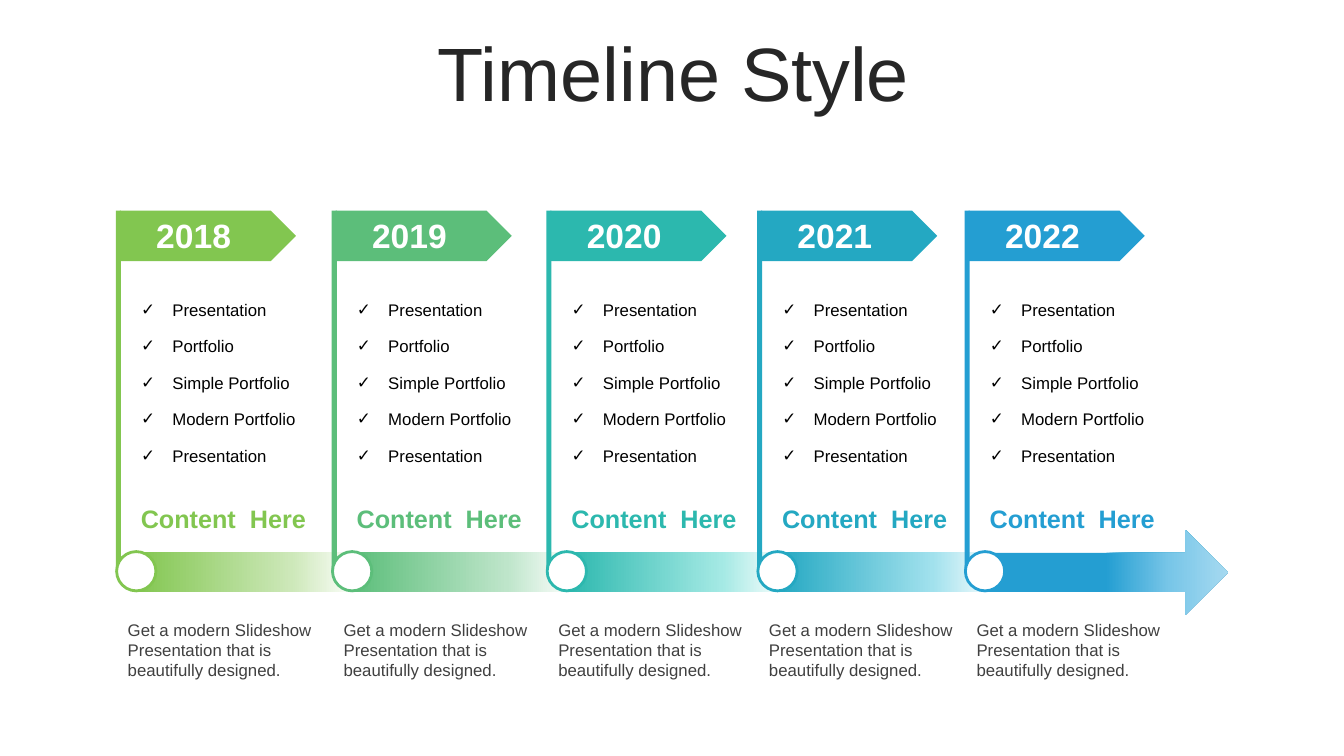
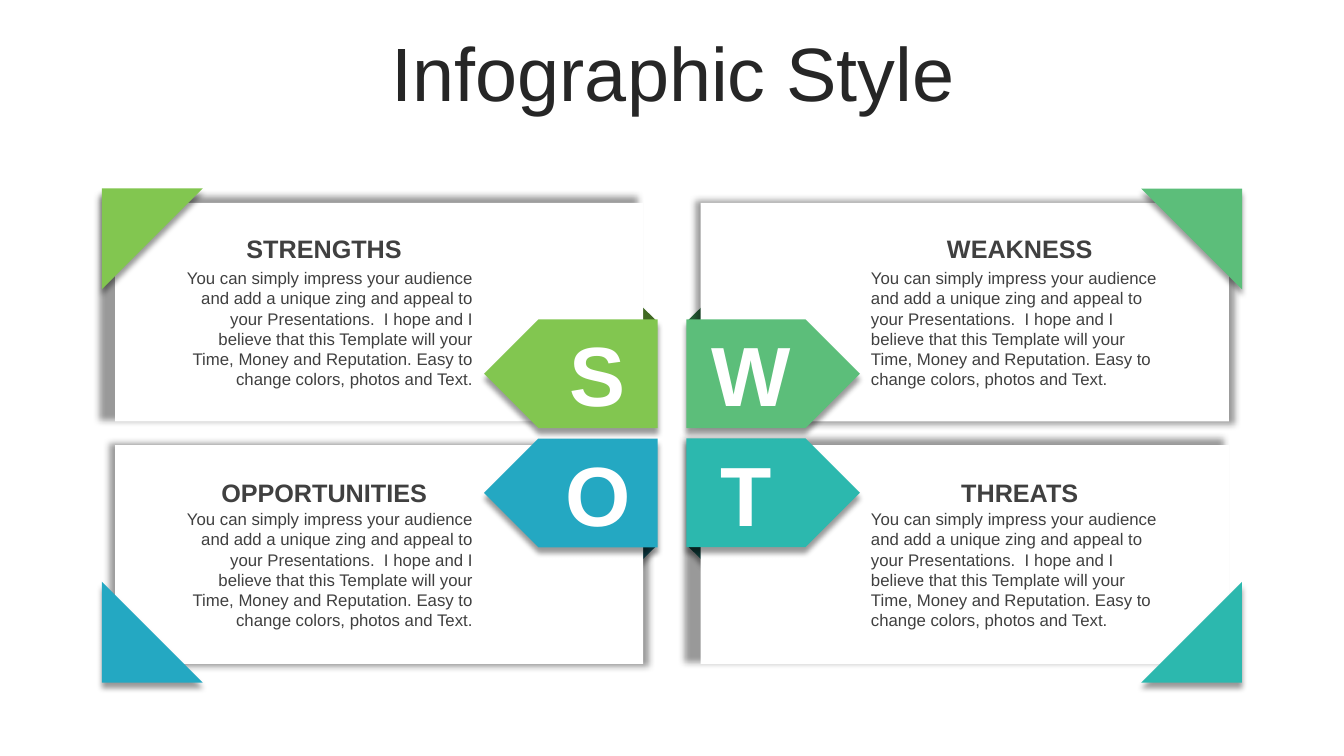
from copy import deepcopy
from dataclasses import dataclass

from lxml import etree
from pptx import Presentation
from pptx.dml.color import RGBColor as Rgb
from pptx.enum.shapes import MSO_SHAPE as Geo
from pptx.enum.text import MSO_ANCHOR as Anchor, MSO_AUTO_SIZE as Fit, PP_ALIGN as Align
from pptx.oxml.ns import qn
from pptx.util import Cm, Pt


# Theme
@dataclass(frozen=True)
class Theme:
    font: str = "Arial"
    lime: str = "82C650"
    green: str = "5CBE7A"
    teal: str = "2CB8AE"
    cyan: str = "24A8C2"
    blue: str = "249ED2"
    white: str = "FFFFFF"
    black: str = "000000"
    ink: str = "262626"
    grey: str = "404040"
    title: int = 54
    letter: int = 60
    year: int = 24
    head: int = 18
    body: int = 12


T = Theme()
WIDTH, HEIGHT = 33.87, 19.05
MID_X, MID_Y = WIDTH / 2, 10.92


# Data
@dataclass(frozen=True)
class Stage:
    year: str
    x: float
    color: str
    stops: tuple[tuple[int, str], ...]


@dataclass(frozen=True)
class Panel:
    letter: str
    head: str
    color: str
    fold: str
    right: bool
    low: bool
    turn: int


STAGES = [
    Stage("2018", 2.92, T.lime, ((0, T.lime), (70, "CDE8B9"), (100, T.white))),
    Stage("2019", 8.36, T.green, ((0, T.green), (70, "BEE5CA"), (100, T.white))),
    Stage("2020", 13.77, T.teal, ((0, T.teal), (70, "A4E9E4"), (100, T.white))),
    Stage("2021", 19.08, T.cyan, ((0, T.cyan), (70, "A1E1ED"), (100, T.white))),
    Stage("2022", 24.31, T.blue,
          ((0, T.blue), (50, T.blue), (76, "78C6E8"), (100, "A5D9F0"))),
]
ITEMS = ["Presentation", "Portfolio", "Simple Portfolio", "Modern Portfolio", "Presentation"]
NOTE = "Get a modern Slideshow Presentation that is beautifully designed."

PANELS = [
    Panel("O", "OPPORTUNITIES", T.cyan, "125461", False, True, 0),
    Panel("T", "THREATS", T.teal, "165C57", True, True, 270),
    Panel("S", "STRENGTHS", T.lime, "406922", False, False, 90),
    Panel("W", "WEAKNESS", T.green, "28653B", True, False, 180),
]
PITCH = ("You can simply impress your audience and add a unique zing and appeal to "
         "your Presentations.  I hope and I believe that this Template will your Time, "
         "Money and Reputation. Easy to change colors, photos and Text.")


# Drawing helpers; all lengths are centimetres
def place(shape, x: float, y: float, w: float, h: float) -> None:
    shape.left, shape.top, shape.width, shape.height = Cm(x), Cm(y), Cm(w), Cm(h)


def paint(shape, color: str) -> None:
    shape.shadow.inherit = False
    shape.fill.solid()
    shape.fill.fore_color.rgb = Rgb.from_string(color)
    shape.line.fill.background()


def draw(slide, geo: Geo, x: float, y: float, w: float, h: float, color: str):
    shape = slide.shapes.add_shape(geo, Cm(x), Cm(y), Cm(w), Cm(h))
    paint(shape, color)
    return shape


def blend(shape, stops: tuple[tuple[int, str], ...]) -> None:
    """Swap the solid fill for a left-to-right gradient."""
    old = shape.element.spPr.find(qn("a:solidFill"))
    grad = etree.Element(qn("a:gradFill"), rotWithShape="1")
    marks = etree.SubElement(grad, qn("a:gsLst"))
    for pos, color in stops:
        mark = etree.SubElement(marks, qn("a:gs"), pos=str(pos * 1000))
        etree.SubElement(mark, qn("a:srgbClr"), val=color)
    etree.SubElement(grad, qn("a:lin"), ang="0", scaled="0")
    old.getparent().replace(old, grad)


def shade(shape, blur: int = 4, dist: int = 4, scale: int = 100) -> None:
    """Cast a soft shadow straight down, or all round when dist is 0."""
    fx = shape.element.spPr.find(qn("a:effectLst"))
    size = str(scale * 1000)
    cast = etree.SubElement(
        fx, qn("a:outerShdw"), blurRad=str(Pt(blur)), dist=str(Pt(dist)),
        dir="5400000" if dist else "0", sx=size, sy=size,
        algn="ctr" if scale > 100 else "t", rotWithShape="0")
    tint = etree.SubElement(cast, qn("a:srgbClr"), val=T.black)
    etree.SubElement(tint, qn("a:alpha"), val="40000")


def write(para, text: str, size: int, color: str, bold: bool = False,
          align: Align = Align.LEFT) -> None:
    para.alignment = align
    run = para.add_run()
    run.text = text
    font = run.font
    font.name, font.size, font.bold = T.font, Pt(size), bold
    font.color.rgb = Rgb.from_string(color)


def label(slide, x: float, y: float, w: float, h: float, text: str, size: int,
          color: str, bold: bool = False, align: Align = Align.LEFT) -> None:
    frame = slide.shapes.add_textbox(Cm(x), Cm(y), Cm(w), Cm(h)).text_frame
    frame.word_wrap = True
    write(frame.paragraphs[0], text, size, color, bold, align)


def head(slide, text: str) -> None:
    box = slide.shapes.title
    place(box, 0.89, 0.94, 32.16, 2.01)
    frame = box.text_frame
    frame.auto_size, frame.vertical_anchor = Fit.NONE, Anchor.MIDDLE
    para = frame.paragraphs[0]
    para.line_spacing, para.space_before = 0.9, Pt(0)
    write(para, text, T.title, T.ink, align=Align.CENTER)


def check(box, x: float) -> None:
    """Fill a body placeholder with the ticked list."""
    place(box, x, 7.52, 4.62, 4.3)
    frame = box.text_frame
    frame.auto_size, frame.vertical_anchor = Fit.NONE, Anchor.TOP
    for i, item in enumerate(ITEMS):
        para = frame.add_paragraph() if i else frame.paragraphs[0]
        props = para._p.get_or_add_pPr()
        props.set("marL", str(Cm(0.79)))
        props.set("indent", str(Cm(-0.79)))
        etree.SubElement(props, qn("a:buFont"), typeface=T.font)
        etree.SubElement(props, qn("a:buChar"), char="✓")
        para.line_spacing, para.space_before = 0.8, Pt(14.5 if i else 0)
        write(para, item, T.body, T.black)


def widen(layout, count: int) -> None:
    """Give the layout one body placeholder per list."""
    base = next(p for p in layout.placeholders if p.placeholder_format.idx == 1).element
    for i in range(1, count):
        twin = deepcopy(base)
        name = twin.find(".//" + qn("p:cNvPr"))
        name.set("id", str(40 + i))
        name.set("name", f"List {i + 1}")
        twin.find(".//" + qn("p:ph")).set("idx", str(20 + i))
        base.getparent().append(twin)


# Slide 1: timeline
def stage(slide, s: Stage, last: bool) -> None:
    draw(slide, Geo.PENTAGON, s.x + 0.1, 5.31, 4.44, 1.27, s.color)
    draw(slide, Geo.RECTANGLE, s.x, 5.31, 0.13, 9.14, s.color)
    if last:
        band = draw(slide, Geo.RIGHT_ARROW, s.x + 0.48, 13.36, 6.15, 2.13, s.color)
        band.adjustments[0] = 0.46
    else:
        band = draw(slide, Geo.RECTANGLE, s.x + 0.51, 13.92, 5.59, 0.99, s.color)
    blend(band, s.stops)
    knob = draw(slide, Geo.OVAL, s.x + 0.02, 13.9, 0.99, 0.99, T.white)
    knob.line.color.rgb = Rgb.from_string(s.color)
    knob.line.width = Pt(2)
    label(slide, s.x + 0.08, 5.28, 3.76, 1.27, s.year, T.year, T.white, True, Align.CENTER)
    label(slide, s.x + 0.38, 12.57, 4.9, 1.02, "Content  Here", T.head, s.color, True)
    label(slide, s.x + 0.05, 15.49, 5.59, 1.8, NOTE, T.body, T.grey)


def timeline(deck) -> None:
    layout = deck.slide_layouts[1]
    widen(layout, len(STAGES))
    slide = deck.slides.add_slide(layout)
    head(slide, "Timeline Style")
    lists = [p for p in slide.placeholders if p.placeholder_format.idx]
    for s, box in zip(STAGES, lists):
        stage(slide, s, s is STAGES[-1])
        check(box, s.x + 0.38)


# Slide 2: four panels mirrored about the middle
def flip(panel: Panel, x: float, y: float, w: float = 0, h: float = 0) -> tuple[float, float]:
    """Turn a top-left panel's place into this panel's place."""
    return (2 * MID_X - x - w if panel.right else x,
            2 * MID_Y - y - h if panel.low else y)


def panel(slide, p: Panel) -> None:
    points = [tuple(Cm(v) for v in flip(p, x, y))
              for x, y in ((16.1, 8.05), (16.54, 8.08), (16.1, 7.65))]
    path = slide.shapes.build_freeform(*points[0], scale=1.0)
    path.add_line_segments(points[1:], close=True)
    fold = path.convert_to_shape()
    paint(fold, p.fold)
    shade(fold)

    card = draw(slide, Geo.RECTANGLE, *flip(p, 2.9, 5.11, 13.31, 5.51), 13.31, 5.51, T.white)
    if p.right == p.low:
        card.element.spPr.find(qn("a:xfrm")).set("flipV", "1")
    shade(card, 5, 0, 102)

    tag = draw(slide, Geo.PENTAGON, *flip(p, 12.2, 8.05, 4.37, 2.74), 4.37, 2.74, p.color)
    tag.rotation = 0 if p.right else 180
    shade(tag)


def words(slide, p: Panel) -> None:
    label(slide, *flip(p, 13.94, 8, 2.26, 2.82), 2.26, 2.82, p.letter, T.letter,
          T.white, True, Align.CENTER)
    x, _ = flip(p, 4.17, 0, 8)
    label(slide, x, 11.91 if p.low else 5.76, 8, 0.76, p.head, T.head, T.grey,
          True, Align.CENTER)
    label(slide, x, 12.7 if p.low else 6.63, 8, 3.33, PITCH, T.body, T.grey,
          align=Align.LEFT if p.right else Align.RIGHT)
    x, _ = flip(p, 2.57, 0, 2.54)
    nook = draw(slide, Geo.RIGHT_TRIANGLE, x, 14.66 if p.low else 4.75, 2.54, 2.54, p.color)
    nook.rotation = p.turn
    shade(nook)


def swot(deck) -> None:
    slide = deck.slides.add_slide(deck.slide_layouts[5])
    head(slide, "Infographic Style")
    for part in (panel, words):
        for p in PANELS:
            part(slide, p)


def main() -> None:
    deck = Presentation()
    deck.slide_width, deck.slide_height = Cm(WIDTH), Cm(HEIGHT)
    timeline(deck)
    swot(deck)
    deck.save("out.pptx")


if __name__ == "__main__":
    main()
